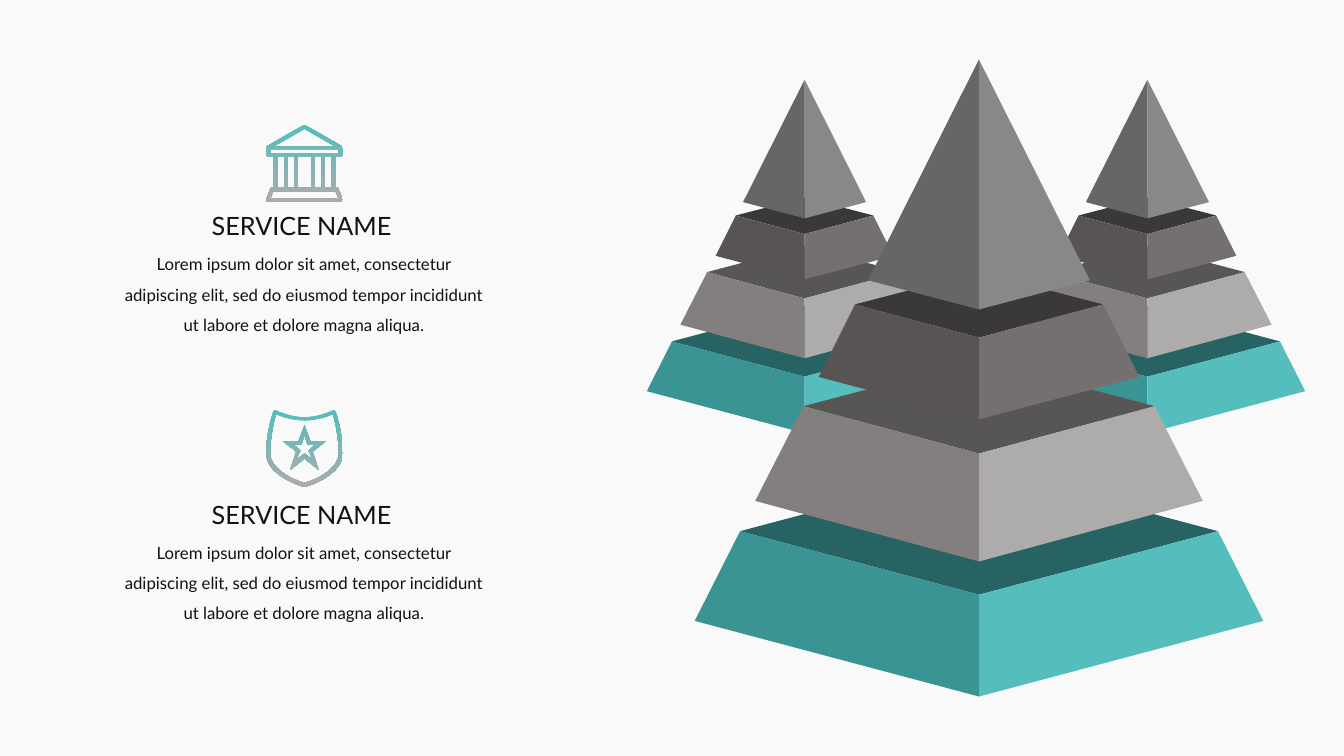
from pptx import Presentation
from pptx.dml.color import RGBColor
from pptx.enum.text import MSO_AUTO_SIZE, PP_ALIGN
from pptx.util import Inches, Pt

LEFT, CENTER = PP_ALIGN.LEFT, PP_ALIGN.CENTER
FIT_SHAPE = MSO_AUTO_SIZE.SHAPE_TO_FIT_TEXT
TEAL, GREY, INK, PAPER = "56BDBD", "AEABAB", "111111", "F9F9F9"


def color(value):
    return RGBColor.from_string(value)


def curve(start, first, second, end, steps=10):
    """Points along a cubic curve, without its start."""
    points = []
    for step in range(1, steps + 1):
        t = step / steps
        weights = ((1 - t) ** 3, 3 * t * (1 - t) ** 2, 3 * t * t * (1 - t), t ** 3)
        points.append(tuple(
            sum(weight * point[axis] for weight, point in zip(weights, (start, first, second, end)))
            for axis in (0, 1)))
    return points


def mirrored(half):
    """Close a right-hand outline with its left-hand reflection."""
    return half + [(-x, y) for x, y in reversed(half) if x]


def rectangle(left, top, right, bottom):
    return [(left, top), (right, top), (right, bottom), (left, bottom)]


class SlideMaker:
    font = "Lato"

    def __init__(self, page):
        self.page = page
        page.background.fill.solid()
        page.background.fill.fore_color.rgb = color(PAPER)

    def outline(self, contours, center, top, scale=1.0):
        """Freeform from contours given relative to a top centre point."""
        placed = [[(Inches(center + x * scale), Inches(top + y * scale)) for x, y in contour]
                  for contour in contours]
        builder = self.page.shapes.build_freeform(*placed[0][0])
        for index, contour in enumerate(placed):
            if index:
                builder.move_to(*contour[0])
            builder.add_line_segments(contour[1:], close=True)
        shape = builder.convert_to_shape()
        shape.shadow.inherit = False
        shape.line.fill.background()
        return shape

    def facet(self, points, fill, center, top, scale):
        shape = self.outline([points], center, top, scale)
        shape.fill.solid()
        shape.fill.fore_color.rgb = color(fill)

    def pyramid(self, center, top, scale=1.0):
        place = (center, top, scale)
        for lid_width, back, lid_side, front, foot_width, foot_side, foot, fills in TIERS:
            lid_fill, left_fill, right_fill = fills
            lid = mirrored([(0, back), (lid_width, lid_side), (0, front)])
            self.facet(lid, lid_fill, *place)
            for side, fill in ((-1, left_fill), (1, right_fill)):
                self.facet([(0, foot), (0, front), (side * lid_width, lid_side),
                            (side * foot_width, foot_side)], fill, *place)
        for side, fill in ((1, "888888"), (-1, "666666")):
            self.facet([(0, 2.48), (0, 0), (side * 1.1, 2.19)], fill, *place)

    def icon(self, contours, center, top):
        fill = self.outline(contours, center, top).fill
        fill.gradient()
        fill.gradient_angle = 270
        for stop, shade, position in zip(fill.gradient_stops, (TEAL, GREY), (0, 1)):
            stop.color.rgb = color(shade)
            stop.position = position

    def text(self, words, left, top, width, height, size, align=LEFT, spacing=1.0, wrap=True):
        box = self.page.shapes.add_textbox(Inches(left), Inches(top), Inches(width), Inches(height))
        frame = box.text_frame
        frame.margin_left = frame.margin_right = frame.margin_top = frame.margin_bottom = 0
        frame.word_wrap = wrap
        frame.auto_size = FIT_SHAPE
        para = frame.paragraphs[0]
        para.text = words
        para.alignment = align
        para.line_spacing = spacing
        para.font.name = self.font
        para.font.size = Pt(size)
        para.font.color.rgb = color(INK)


# Lid half width, back, side, front; foot half width, side, front; lid, left, right fills
TIERS = [
    (2.37, 4.05, 4.68, 5.31, 2.82, 5.57, 6.32, ("276363", "3A9494", TEAL)),
    (1.74, 2.98, 3.44, 3.91, 2.22, 4.38, 4.98, ("585555", "847F7F", GREY)),
    (1.23, 2.11, 2.43, 2.76, 1.59, 3.15, 3.57, ("3A3838", "585454", "757070")),
]

# Icon contours, relative to the top centre of each icon
BANK = [
    mirrored([(0, 0), (0.01, 0), (0.37, 0.21), (0.38, 0.23), (0.38, 0.3), (0.37, 0.31),
              (0.31, 0.31), (0.31, 0.62), (0.33, 0.62), (0.34, 0.64), (0.38, 0.74), (0.37, 0.76)]),
    mirrored([(0, 0.04), (0.3, 0.21)]),
    rectangle(-0.34, 0.24, 0.34, 0.28),
    mirrored([(0.31, 0.66), (0.34, 0.73)]),
] + [rectangle(left, 0.31, right, 0.62) for left, right in
     ((-0.27, -0.2), (-0.17, -0.1), (-0.07, 0.07), (0.1, 0.17), (0.2, 0.27))]

SHIELD = [
    mirrored([(0, 0.07)] + curve((0, 0.07), (0.15, 0.07), (0.28, 0), (0.28, 0))
             + [(0.3, 0), (0.31, 0.01)]
             + curve((0.31, 0.01), (0.31, 0.01), (0.38, 0.22), (0.38, 0.43))
             + curve((0.38, 0.43), (0.38, 0.65), (0.02, 0.76), (0, 0.76))),
    mirrored([(0, 0.1)] + curve((0, 0.1), (0.12, 0.1), (0.24, 0.06), (0.28, 0.04))
             + curve((0.28, 0.04), (0.3, 0.1), (0.34, 0.26), (0.34, 0.43))
             + curve((0.34, 0.43), (0.34, 0.61), (0.03, 0.72), (0, 0.72))),
    mirrored([(0, 0.15), (0.06, 0.31), (0.21, 0.31), (0.08, 0.41), (0.14, 0.59), (0, 0.48)]),
    mirrored([(0, 0.25), (0.03, 0.34), (0.11, 0.34), (0.04, 0.4), (0.08, 0.49), (0, 0.43)]),
]

DESCRIPTION = ("Lorem ipsum dolor sit amet, consectetur adipiscing elit, sed do eiusmod "
               "tempor incididunt ut labore et dolore magna aliqua.")


def main():
    deck = Presentation()
    deck.slide_width, deck.slide_height = Inches(13.33), Inches(7.5)
    maker = SlideMaker(deck.slides.add_slide(deck.slide_layouts[6]))

    # Two small pyramids behind the large one
    for center in (11.38, 7.98):
        maker.pyramid(center, 0.79, 0.555)
    maker.pyramid(9.71, 0.59)

    # Services
    for contours, icon_top, name_top in ((BANK, 1.24, 2.09), (SHIELD, 4.07, 4.95)):
        maker.icon(contours, 3.02, icon_top)
        maker.text("SERVICE NAME", 2.1, name_top, 1.82, 0.3, 18, wrap=False)
        maker.text(DESCRIPTION, 1.2, name_top + 0.33, 3.63, 0.87, 12, CENTER, 1.5)

    deck.save("out.pptx")


if __name__ == "__main__":
    main()
